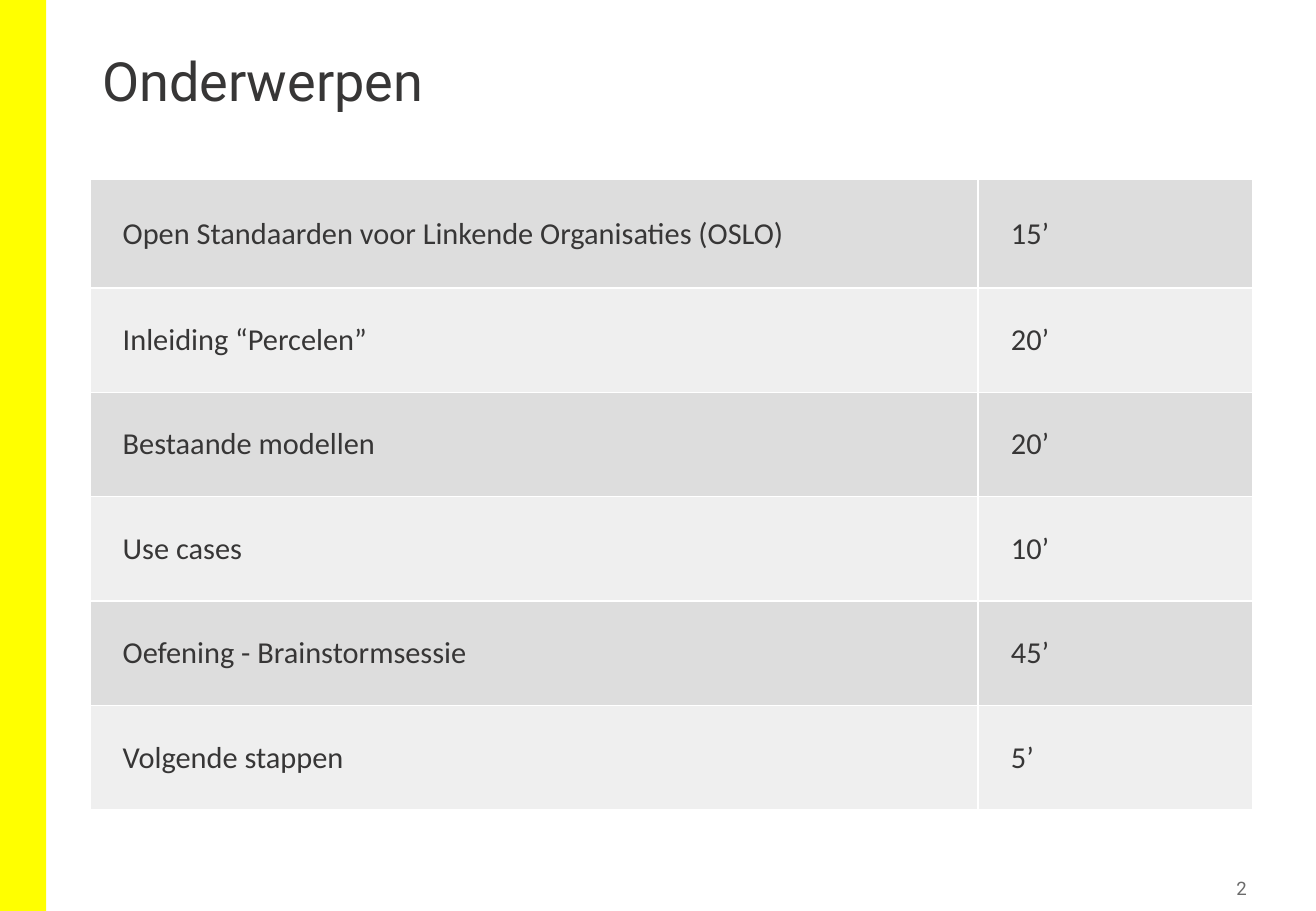
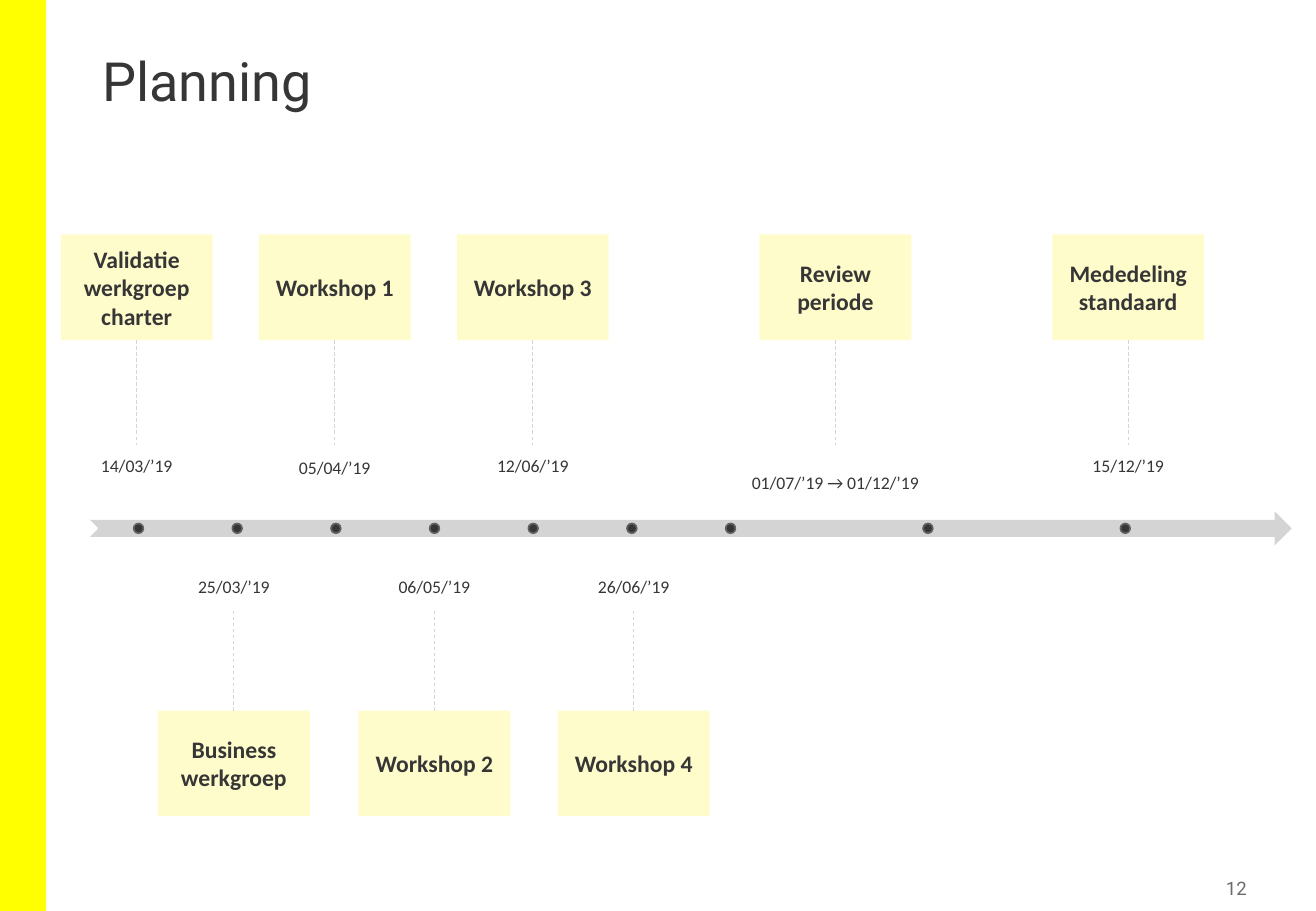
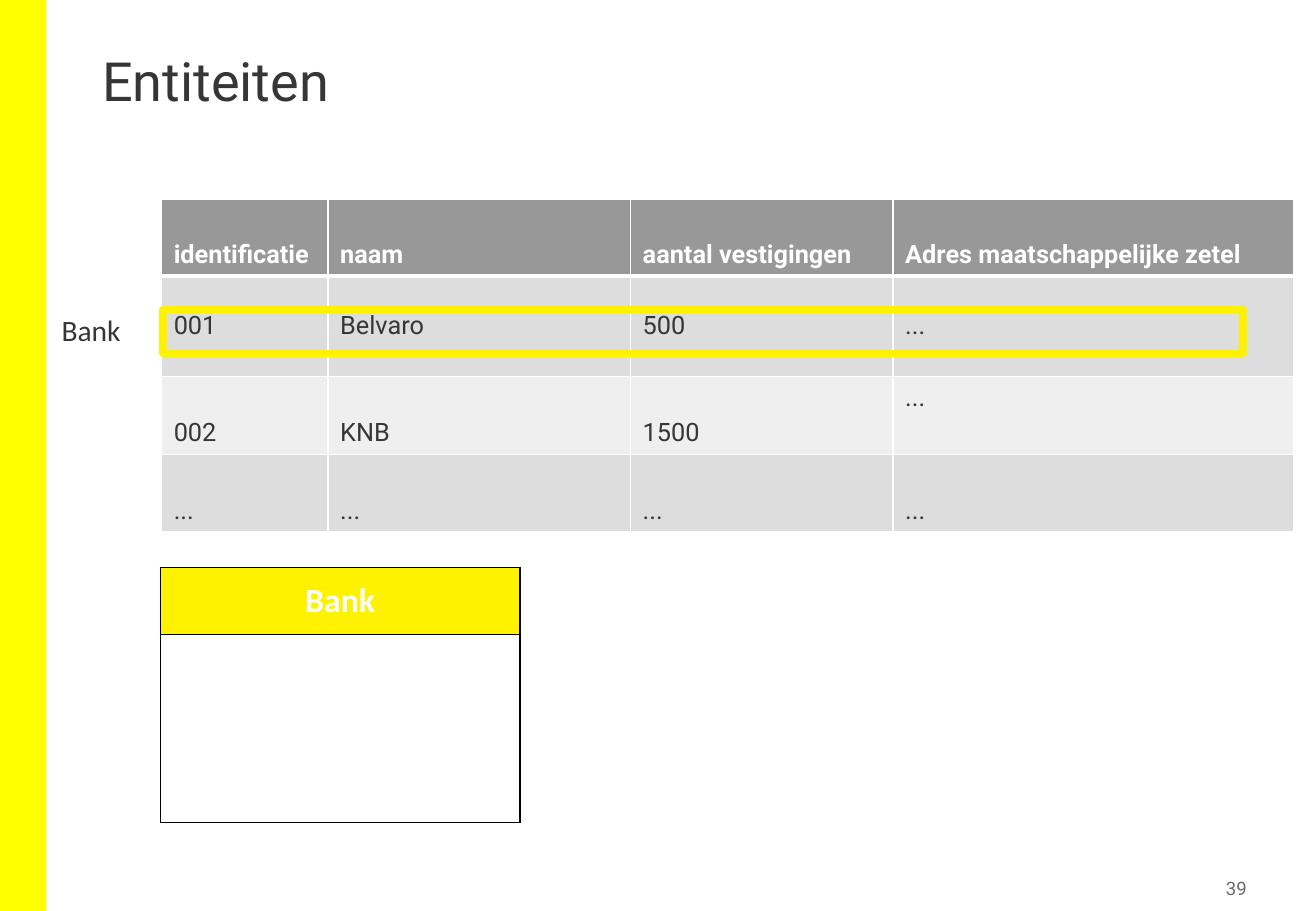
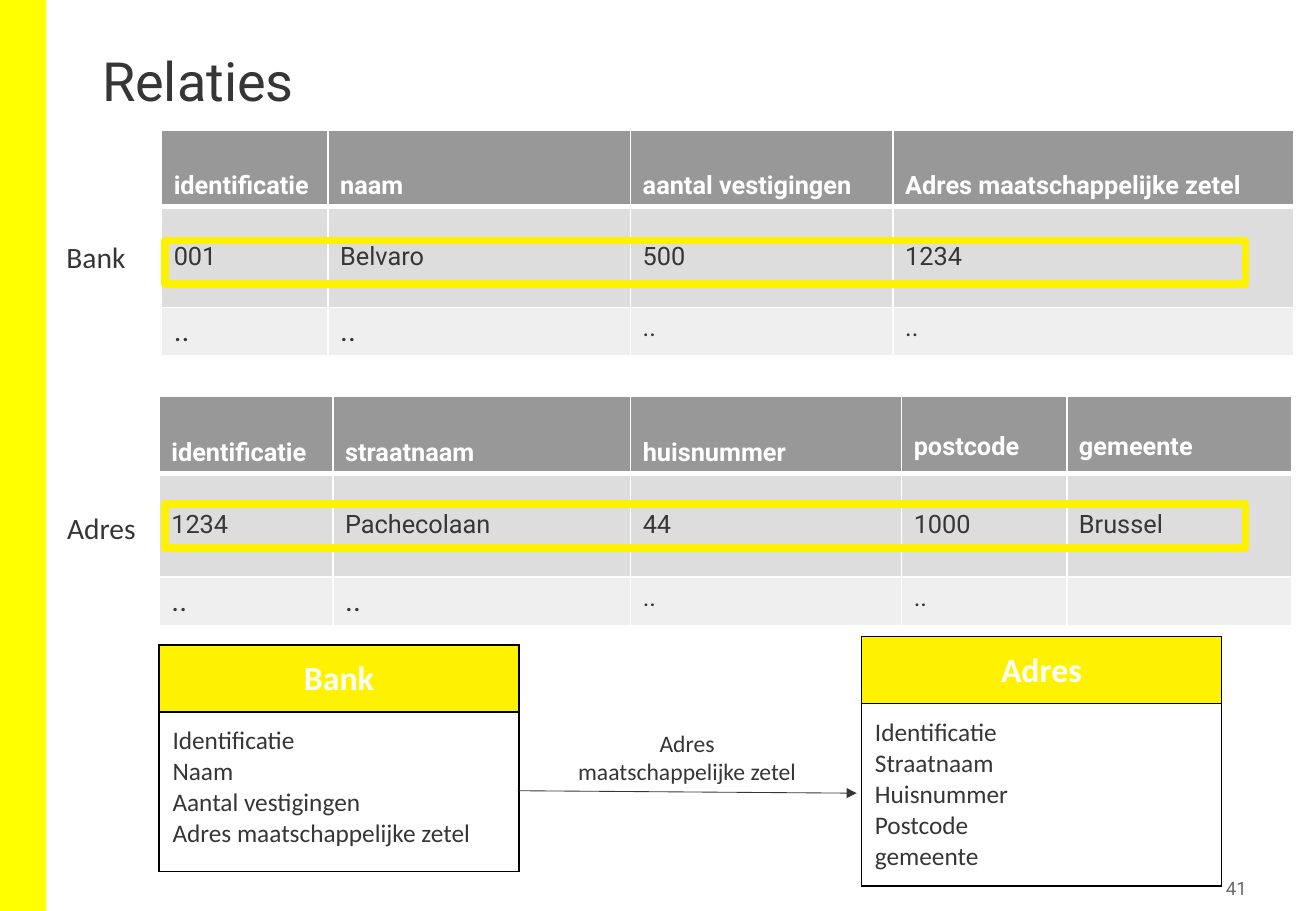
from pptx import Presentation
from pptx import util as u
from pptx.dml.color import RGBColor
from pptx.enum import dml, shapes, text
from pptx.oxml import ns
from lxml import etree

HUES = {
    "ink": "373636", "white": "FFFFFF", "black": "000000", "page": "6B6B6B",
    "band": "FFFF00", "mark": "FFF200", "card": "FFFCCC", "head": "989898",
    "dark": "DDDDDD", "pale": "EFEFEF", "bar": "D4D4D4", "dash": "D5D5D5",
    "ring": "616161",
}
SIDES = {
    "left": text.PP_ALIGN.LEFT,
    "mid": text.PP_ALIGN.CENTER,
    "right": text.PP_ALIGN.RIGHT,
}
SPOTS = {
    "top": text.MSO_ANCHOR.TOP,
    "mid": text.MSO_ANCHOR.MIDDLE,
    "low": text.MSO_ANCHOR.BOTTOM,
}
KIND = shapes.MSO_SHAPE
HEAD = 0.55


def hue(name):
    """Return a named colour."""
    return RGBColor.from_string(HUES[name])


def inch(*nums):
    """Turn numbers into inch lengths."""
    return [u.Inches(round(n, 3)) for n in nums]


def write(host, words, size=15, face="Calibri", ink="ink", bold=False,
          side="left", spot="top", pad=(0.1, 0.05, 0.1, 0.05), lead=None):
    """Fill a text frame or table cell with formatted paragraphs."""
    frame = getattr(host, "text_frame", host)
    host.vertical_anchor = SPOTS[spot]
    (host.margin_left, host.margin_top,
     host.margin_right, host.margin_bottom) = inch(*pad)
    frame.text = words
    for para in frame.paragraphs:
        para.alignment = SIDES[side]
        if lead:
            para.line_spacing = lead
        for run in para.runs:
            font = run.font
            font.size, font.name, font.bold = u.Pt(size), face, bold
            font.color.rgb = hue(ink)


def label(slide, box, words, **form):
    """Add a wrapped text box."""
    item = slide.shapes.add_textbox(*inch(*box))
    item.text_frame.word_wrap = True
    write(item.text_frame, words, **form)
    return item


def shape(slide, kind, box, fill=None, line=None, width=1):
    """Add a flat preset shape."""
    item = slide.shapes.add_shape(kind, *inch(*box))
    item.shadow.inherit = False
    if fill:
        item.fill.solid()
        item.fill.fore_color.rgb = hue(fill)
    else:
        item.fill.background()
    if line:
        item.line.color.rgb = hue(line)
        item.line.width = u.Pt(width)
    else:
        item.line.fill.background()
    return item


def link(slide, ends, ink):
    """Add a thin straight connector."""
    item = slide.shapes.add_connector(shapes.MSO_CONNECTOR.STRAIGHT, *inch(*ends))
    item.line.color.rgb = hue(ink)
    item.line.width = u.Pt(0.5)
    etree.SubElement(item.element.spPr, ns.qn("a:effectLst"))
    return item


def paint(cell, fill, edge, top=1, low=1):
    """Set the borders and fill of a cell."""
    props = cell._tc.get_or_add_tcPr()
    for tag, width in (("lnL", 1), ("lnR", 1), ("lnT", top), ("lnB", low)):
        line = etree.SubElement(props, ns.qn("a:" + tag), w=str(u.Pt(width)))
        solid = etree.SubElement(line, ns.qn("a:solidFill"))
        etree.SubElement(solid, ns.qn("a:srgbClr"), val=HUES[edge])
    if fill:
        cell.fill.solid()
        cell.fill.fore_color.rgb = hue(fill)
    else:
        cell.fill.background()


def table(slide, left, top, cols, rows):
    """Add a plain table with given column widths and row heights."""
    box = inch(left, top, sum(cols), sum(rows))
    grid = slide.shapes.add_table(len(rows), len(cols), *box).table
    grid.first_row = grid.horz_banding = False
    for col, width in zip(grid.columns, cols):
        col.width = u.Inches(width)
    for row, high in zip(grid.rows, rows):
        row.height = u.Inches(high)
    return grid


def data(slide, left, top, cols, rows):
    """Add a data table from rows of height, shared format and entries."""
    grid = table(slide, left, top, cols, [row[0] for row in rows])
    for r, (_, form, items) in enumerate(rows):
        fill = "head" if r == 0 else "dark" if r % 2 else "pale"
        look = {"face": "Roboto", **form}
        if r == 0:
            look.update(ink="white", bold=True)
        for c, item in enumerate(items):
            words, extra = item if isinstance(item, tuple) else (item, {})
            cell = grid.cell(r, c)
            paint(cell, fill, "white", 3 if r == 1 else 1, 3 if r == 0 else 1)
            if words:
                write(cell, words, **{**look, **extra})


def entity(slide, left, top, name, body, high):
    """Add a class box with a name and its attributes."""
    grid = table(slide, left, top, [2.96], [HEAD, high])
    pad = (0.11,) * 4
    title, field = grid.cell(0, 0), grid.cell(1, 0)
    paint(title, "mark", "black")
    write(title, name, size=20, ink="white", bold=True, side="mid", pad=pad)
    paint(field, None, "black")
    if body:
        write(field, body, pad=pad)


def mark(slide, left, top):
    """Frame one table row in yellow."""
    shape(slide, KIND.RECTANGLE, (left, top, 8.89, 0.36), line="mark", width=4.5)


def tag(slide, left, top, width, words):
    """Name a table at its left."""
    label(slide, (left, top, width, 0.4), words, size=17.5, side="mid")


def frame(deck, name, page):
    """Add a slide with its title and page number."""
    slide = deck.slides.add_slide(deck.slide_layouts[5])
    title = slide.shapes.title
    title.left, title.top, title.width, title.height = inch(0.74, 0.4, 9.34, 1.08)
    title.text_frame.auto_size = text.MSO_AUTO_SIZE.NONE
    write(title.text_frame, name, size=32, face="Roboto", lead=0.9)
    label(slide, (9.5, 7.17, 0.81, 0.29), str(page), size=11, face="Roboto",
          ink="page", side="right", spot="mid", pad=(0.05,) * 4)
    return slide


def band(deck, slide):
    """Place the yellow band on the layout that all slides share."""
    strip = shape(slide, KIND.RECTANGLE, (0, 0, 0.38, 7.5), fill="band")
    deck.slide_layouts[5].element.cSld.spTree.insert(2, strip.element)


def agenda(slide, left, top, items):
    """Add the table of topics and minutes."""
    grid = table(slide, left, top, [7.31, 2.26], [0.89] + [0.86] * (len(items) - 1))
    for r, row in enumerate(items):
        for c, words in enumerate(row):
            cell = grid.cell(r, c)
            paint(cell, "pale" if r % 2 else "dark", "white")
            write(cell, words, size=18, spot="mid", pad=(0.27, 0.05, 0.1, 0.05))


def event(slide, left, name, date, above, high=0.34, width=1.0):
    """Add a card joined to its date above or below the time bar."""
    top = 1.93 if above else 5.85
    card = shape(slide, KIND.RECTANGLE, (left, top, 1.25, 0.87), fill="card")
    write(card.text_frame, name, size=14, bold=True, side="mid", spot="mid")
    mid = left + 0.625
    day = label(slide, (mid - width / 2, 3.66 if above else 4.68, width, high),
                date, size=10.5, side="mid", spot="low" if above else "top",
                pad=(0.09,) * 4, lead=0.9)
    line = link(slide, (mid, 2.8, mid, 3.66), "dash")
    line.line.dash_style = dml.MSO_LINE.DASH
    line.begin_connect(card, 2 if above else 0)
    line.end_connect(day, 0 if above else 2)


def plan(slide, left, top):
    """Add the time bar with its dots and events."""
    shape(slide, KIND.NOTCHED_RIGHT_ARROW, (left, top, 9.89, 0.28), fill="bar")
    for step in (0, 1, 2, 3, 4, 5, 6, 8, 10):
        spot = (left + 0.36 + 0.812 * step, top + 0.1, 0.08, 0.08)
        shape(slide, KIND.OVAL, spot, fill="ink", line="ring")
    event(slide, 0.5, "Validatie werkgroep charter", "14/03/’19", True)
    event(slide, 2.13, "Workshop 1", "05/04/’19", True, high=0.36)
    event(slide, 3.76, "Workshop 3", "12/06/’19", True)
    event(slide, 6.25, "Review periode", "01/07/’19 → 01/12/’19", True,
          high=0.48, width=2.55)
    event(slide, 8.66, "Mededeling standaard", "15/12/’19", True)
    event(slide, 1.3, "Business werkgroep", "25/03/’19", False)
    event(slide, 2.95, "Workshop 2", "06/05/’19", False)
    event(slide, 4.59, "Workshop 4", "26/06/’19", False)


BANK = [1.37, 2.49, 2.16, 3.3]
LOW, MID = {"spot": "low"}, {"spot": "mid"}
TOP = (0.63, LOW, ["identificatie", "naam", "aantal vestigingen",
                   "Adres maatschappelijke zetel"])
MORE = [("..", {"size": 18})] * 2 + [".."] * 2


def things(slide):
    """Add the bank table and its empty class."""
    data(slide, 1.33, 1.64, BANK, [
        TOP,
        (0.83, MID, ["001", "Belvaro", "500", "..."]),
        (0.64, LOW, ["002", "KNB", "1500", ("...", {"spot": "top"})]),
        (0.64, LOW, ["..."] * 4),
    ])
    mark(slide, 1.34, 2.55)
    tag(slide, 0.39, 2.52, 0.72, "Bank")
    entity(slide, 1.32, 4.67, "Bank", "", 1.55)


def ties(slide):
    """Add both tables, both classes and the relation between them."""
    data(slide, 1.33, 1.07, BANK, [
        TOP,
        (0.83, MID, ["001", "Belvaro", "500", "1234"]),
        (0.39, {}, MORE),
    ])
    raised = {"pad": (0.1, 0.05, 0.1, 0.1)}
    data(slide, 1.31, 3.26, [1.43, 2.45, 2.23, 1.36, 1.85], [
        (0.64, LOW, ["identificatie", "straatnaam", "huisnummer",
                     ("postcode", raised), ("gemeente", raised)]),
        (0.85, MID, ["1234", "Pachecolaan", "44", "1000", "Brussel"]),
        (0.4, {}, MORE + [""]),
    ])
    entity(slide, 1.31, 5.31, "Bank", "Identificatie\nNaam\nAantal vestigingen\n"
           "Adres maatschappelijke zetel", 1.31)
    entity(slide, 7.09, 5.24, "Adres",
           "Identificatie\nStraatnaam\nHuisnummer\nPostcode\ngemeente", 1.5)
    arrow = link(slide, (4.26, 6.51, 7.05, 6.53), "ink")
    etree.SubElement(arrow.line._get_or_add_ln(), ns.qn("a:tailEnd"), type="triangle")
    label(slide, (4.63, 5.95, 2.05, 0.57), "Adres maatschappelijke zetel",
          size=14, side="mid")
    mark(slide, 1.36, 1.98)
    mark(slide, 1.36, 4.15)
    tag(slide, 0.43, 1.92, 0.72, "Bank")
    tag(slide, 0.43, 4.15, 0.81, "Adres")


def main():
    """Build and save the deck."""
    deck = Presentation()
    deck.slide_width, deck.slide_height = inch(10.83, 7.5)
    first = frame(deck, "Onderwerpen", 2)
    band(deck, first)
    agenda(first, 0.74, 1.48, [
        ("Open Standaarden voor Linkende Organisaties (OSLO)", "15’"),
        ("Inleiding “Percelen”", "20’"),
        ("Bestaande modellen", "20’"),
        ("Use cases", "10’"),
        ("Oefening - Brainstormsessie", "45’"),
        ("Volgende stappen", "5’"),
    ])
    plan(frame(deck, "Planning", 12), 0.74, 4.21)
    things(frame(deck, "Entiteiten", 39))
    ties(frame(deck, "Relaties", 41))
    deck.save("out.pptx")


if __name__ == "__main__":
    main()
